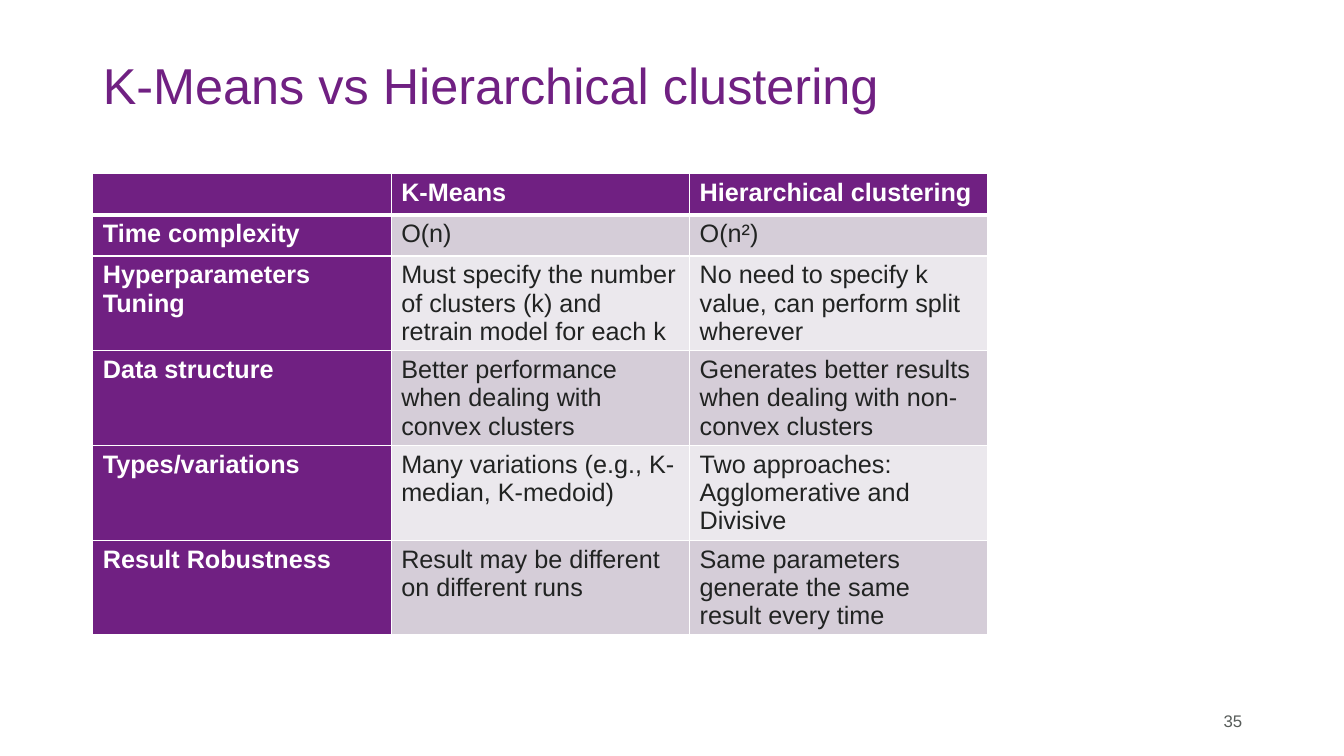
from dataclasses import dataclass

from lxml import etree
from pptx import Presentation
from pptx.dml.color import RGBColor
from pptx.enum.text import MSO_ANCHOR, MSO_AUTO_SIZE, PP_ALIGN
from pptx.oxml.ns import qn
from pptx.util import Inches, Pt

MIDDLE = MSO_ANCHOR.MIDDLE
NO_AUTOFIT = MSO_AUTO_SIZE.NONE
LEFT, RIGHT = PP_ALIGN.LEFT, PP_ALIGN.RIGHT
TITLE_ONLY_LAYOUT = 5


@dataclass(frozen=True)
class Theme:
    font: str = "Arial"
    purple: str = "702082"
    ink: str = "212322"
    gray: str = "575C59"
    white: str = "FFFFFF"
    bands: tuple = ("D5CDD8", "EBE8ED")
    title_size: int = 36
    table_size: int = 18
    number_size: int = 12
    border: int = 1
    header_border: int = 3


COMPARISON = [
    ("", "K-Means", "Hierarchical clustering"),
    ("Time complexity", "O(n)", "O(n²)"),
    ("Hyperparameters Tuning",
     "Must specify the number of clusters (k) and retrain model for each k",
     "No need to specify k value, can perform split wherever"),
    ("Data structure",
     "Better performance when dealing with convex clusters",
     "Generates better results when dealing with non-convex clusters"),
    ("Types/variations",
     "Many variations (e.g., K-median, K-medoid)",
     "Two approaches: Agglomerative and Divisive"),
    ("Result Robustness",
     "Result may be different on different runs",
     "Same parameters generate the same result every time"),
]
ROW_HEIGHTS = [0.41] * 2 + [0.94] * 4
COLUMN_WIDTH = 2.96


def write_text(text_frame, text, *, font, size, color, bold=False,
               align=LEFT, line_spacing=None):
    paragraph = text_frame.paragraphs[0]
    paragraph.alignment = align
    if line_spacing:
        paragraph.line_spacing = line_spacing
    if not text:
        return
    run = paragraph.add_run()
    run.text = text
    run.font.name = font
    run.font.size = Pt(size)
    run.font.bold = bold
    run.font.color.rgb = RGBColor.from_string(color)


def set_cell_borders(cell, color, widths):
    properties = cell._tc.get_or_add_tcPr()
    for side, width in widths.items():
        line = etree.SubElement(properties, qn(f"a:ln{side}"), w=str(Pt(width)))
        fill = etree.SubElement(line, qn("a:solidFill"))
        etree.SubElement(fill, qn("a:srgbClr"), val=color)


class SlideBuilder:
    def __init__(self, slide, theme):
        self.slide = slide
        self.theme = theme

    def add_title(self, text, left, top, width, height):
        title = self.slide.shapes.title
        title.left, title.top = Inches(left), Inches(top)
        title.width, title.height = Inches(width), Inches(height)
        frame = title.text_frame
        frame.word_wrap = True
        frame.auto_size = NO_AUTOFIT
        frame.vertical_anchor = MIDDLE
        write_text(frame, text, font=self.theme.font, size=self.theme.title_size,
                   color=self.theme.purple, line_spacing=0.9)

    def add_slide_number(self, text, left, top, width, height):
        box = self.slide.shapes.add_textbox(
            Inches(left), Inches(top), Inches(width), Inches(height))
        frame = box.text_frame
        frame.word_wrap = True
        frame.vertical_anchor = MIDDLE
        write_text(frame, text, font=self.theme.font, size=self.theme.number_size,
                   color=self.theme.gray, align=RIGHT)

    def add_comparison_table(self, rows, left, top, column_width, row_heights):
        column_count = len(rows[0])
        table = self.slide.shapes.add_table(
            len(rows), column_count, Inches(left), Inches(top),
            Inches(column_width * column_count), Inches(sum(row_heights))).table
        table.first_col = True
        for column in table.columns:
            column.width = Inches(column_width)
        for row, height in zip(table.rows, row_heights):
            row.height = Inches(height)
        for row_index, texts in enumerate(rows):
            for column_index, text in enumerate(texts):
                self.format_cell(table.cell(row_index, column_index), text,
                                 row_index, column_index)

    def format_cell(self, cell, text, row_index, column_index):
        theme = self.theme
        is_heading = row_index == 0 or column_index == 0
        thin, thick = theme.border, theme.header_border
        set_cell_borders(cell, theme.white, {
            "L": thin,
            "R": thin,
            "T": thick if row_index == 1 else thin,
            "B": thick if row_index == 0 else thin,
        })
        cell.fill.solid()
        band = theme.bands[(row_index - 1) % len(theme.bands)]
        cell.fill.fore_color.rgb = RGBColor.from_string(
            theme.purple if is_heading else band)
        write_text(cell.text_frame, text, font=theme.font, size=theme.table_size,
                   color=theme.white if is_heading else theme.ink, bold=is_heading)


def main():
    presentation = Presentation()
    presentation.slide_width = Inches(13.33)
    presentation.slide_height = Inches(7.5)
    slide = presentation.slides.add_slide(
        presentation.slide_layouts[TITLE_ONLY_LAYOUT])
    builder = SlideBuilder(slide, Theme())
    builder.add_title("K-Means vs Hierarchical clustering", 0.92, 0.57, 10.91, 0.6)
    builder.add_comparison_table(COMPARISON, 0.92, 1.72, COLUMN_WIDTH, ROW_HEIGHTS)
    builder.add_slide_number("35", 9.42, 6.95, 3, 0.4)
    presentation.save("out.pptx")


if __name__ == "__main__":
    main()
